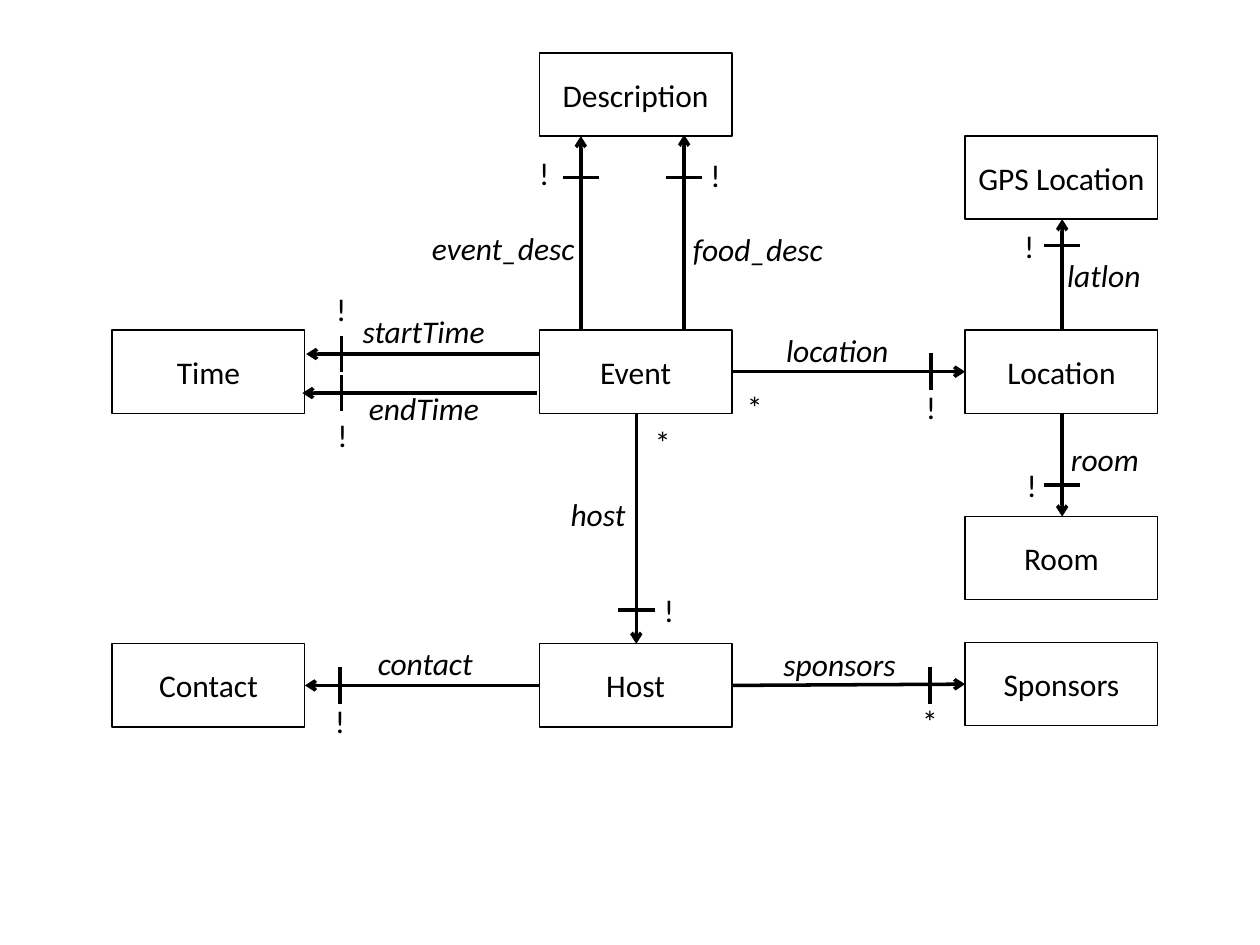
from lxml import etree
from pptx import Presentation
from pptx import util as u
from pptx.dml.color import RGBColor
from pptx.enum import shapes, text
from pptx.oxml import ns

COLORS = {"ink": "000000"}
INK = RGBColor.from_string(COLORS["ink"])
FONT = "Calibri"
BOX_W, BOX_H = 1.53, 0.66
TICK = 0.29
LABEL_H = 0.4
MARK_W = {"!": 0.28, "*": 0.33}

# Columns and rows of the entity grid
LEFT, MID, RIGHT = 0.89, 4.28, 7.66
ENTITIES = [
    ("Description", MID, 0.42),
    ("GPS Location", RIGHT, 1.08),
    ("Time", LEFT, 2.62), ("Event", MID, 2.62), ("Location", RIGHT, 2.62),
    ("Room", RIGHT, 4.1),
    ("Contact", LEFT, 5.11), ("Host", MID, 5.11), ("Sponsors", RIGHT, 5.1),
]

# Label, its box (left, top, width), arrow start, arrow end,
# tick position along the arrow, multiplicity marks (symbol, left, top)
RELATIONS = [
    ("event_desc", (3.33, 1.77, 1.41), (4.61, 2.62), (4.61, 1.08), 1.41,
     [("!", 4.18, 1.17)]),
    ("food_desc", (5.4, 1.78, 1.32), (5.43, 2.61), (5.43, 1.07), 1.41,
     [("!", 5.54, 1.19)]),
    ("startTime", (2.78, 2.43, 1.25), (4.28, 2.81), (2.43, 2.81), 2.71,
     [("!", 2.57, 2.25)]),
    ("endTime", (2.83, 3.04, 1.15), (4.26, 3.12), (2.4, 3.12), 2.71,
     [("!", 2.58, 3.25)]),
    ("location", (6.14, 2.58, 1.09), (5.81, 2.95), (7.66, 2.95), 7.39,
     [("*", 5.83, 3.03), ("!", 7.25, 3.03)]),
    ("latlon", (8.37, 1.98, 0.85), (8.43, 2.62), (8.43, 1.74), 1.95,
     [("!", 8.03, 1.75)]),
    ("room", (8.4, 3.44, 0.81), (8.43, 3.28), (8.43, 4.1), 3.85,
     [("!", 8.05, 3.65)]),
    ("host", (4.43, 3.88, 0.71), (5.05, 3.28), (5.05, 5.11), 4.84,
     [("*", 5.1, 3.31), ("!", 5.17, 4.64)]),
    ("contact", (2.9, 5.06, 1.03), (4.28, 5.44), (2.42, 5.44), 2.7,
     [("!", 2.56, 5.52)]),
    ("sponsors", (6.12, 5.07, 1.16), (5.81, 5.44), (7.66, 5.43), 7.38,
     [("*", 7.22, 5.52)]),
]


def add_run(p, words, italic=False):
    r = p.add_run()
    r.text = words
    r.font.name = FONT
    r.font.size = u.Pt(18)
    r.font.italic = italic
    r.font.color.rgb = INK


def add_entity(s, name, left, top):
    sp = s.shapes.add_shape(shapes.MSO_SHAPE.RECTANGLE, u.Inches(left),
                            u.Inches(top), u.Inches(BOX_W), u.Inches(BOX_H))
    sp.shadow.inherit = False
    sp.fill.background()
    sp.line.color.rgb = INK
    sp.line.width = u.Pt(0.75)
    tf = sp.text_frame
    tf.margin_left = tf.margin_right = u.Inches(0.05)
    tf.vertical_anchor = text.MSO_ANCHOR.MIDDLE
    p = tf.paragraphs[0]
    p.alignment = text.PP_ALIGN.CENTER
    add_run(p, name)


def add_label(s, words, left, top, width, italic=False):
    tf = s.shapes.add_textbox(u.Inches(left), u.Inches(top), u.Inches(width),
                              u.Inches(LABEL_H)).text_frame
    tf.word_wrap = False
    tf.auto_size = text.MSO_AUTO_SIZE.SHAPE_TO_FIT_TEXT
    add_run(tf.paragraphs[0], words, italic)


def add_line(s, start, end, arrow=False):
    ends = [u.Inches(v) for v in (*start, *end)]
    line = s.shapes.add_connector(shapes.MSO_CONNECTOR.STRAIGHT, *ends)
    line.line.color.rgb = INK
    line.line.width = u.Pt(2)
    if arrow:
        etree.SubElement(line.line._get_or_add_ln(), ns.qn("a:tailEnd"),
                         type="arrow")
    etree.SubElement(line._element.spPr, ns.qn("a:effectLst"))


def add_relation(s, name, label_box, start, end, tick, marks):
    add_line(s, start, end, arrow=True)
    # The tick crosses the arrow at a right angle
    x, y = start
    if x == end[0]:
        add_line(s, (x - TICK / 2, tick), (x + TICK / 2, tick))
    else:
        add_line(s, (tick, y - TICK / 2), (tick, y + TICK / 2))
    add_label(s, name, *label_box, italic=True)
    for symbol, left, top in marks:
        add_label(s, symbol, left, top, MARK_W[symbol])


def main():
    prs = Presentation()
    prs.slide_width, prs.slide_height = u.Inches(10), u.Inches(7.5)
    s = prs.slides.add_slide(prs.slide_layouts[6])
    for entity in ENTITIES:
        add_entity(s, *entity)
    for relation in RELATIONS:
        add_relation(s, *relation)
    prs.save("out.pptx")


if __name__ == "__main__":
    main()
